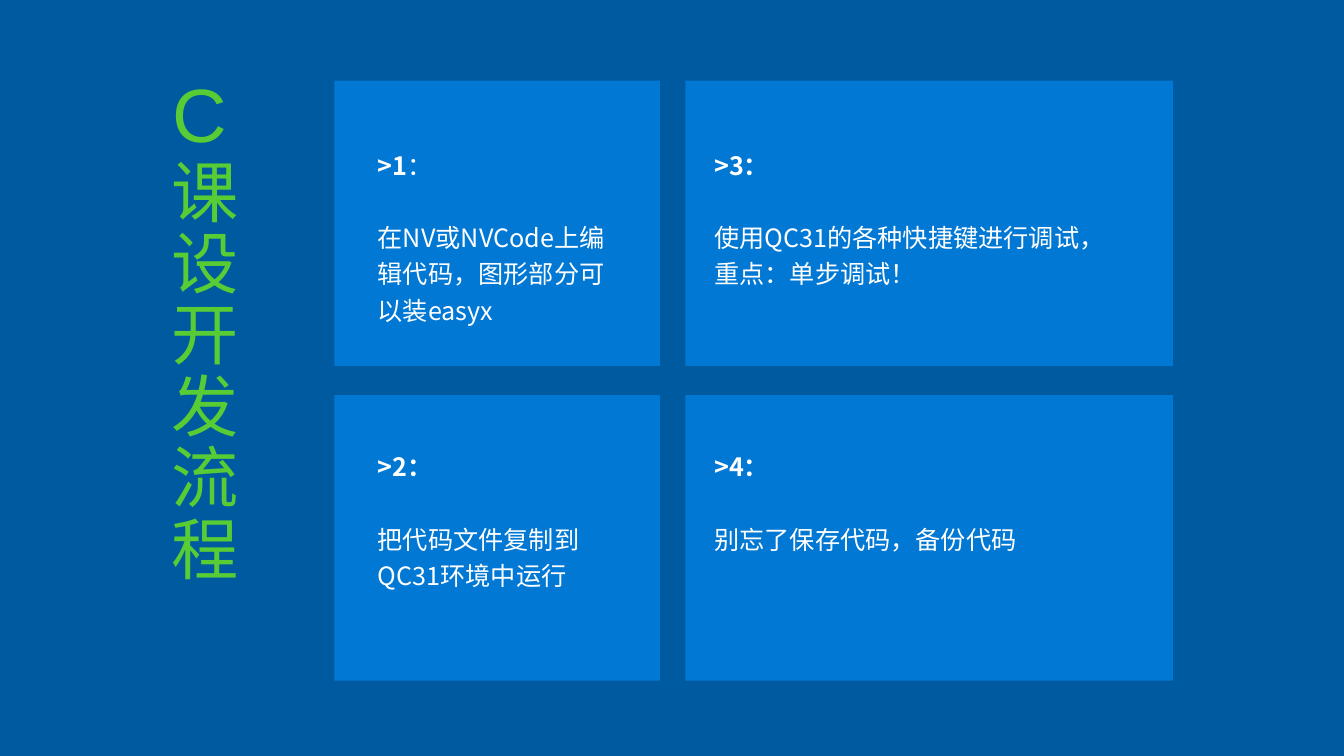
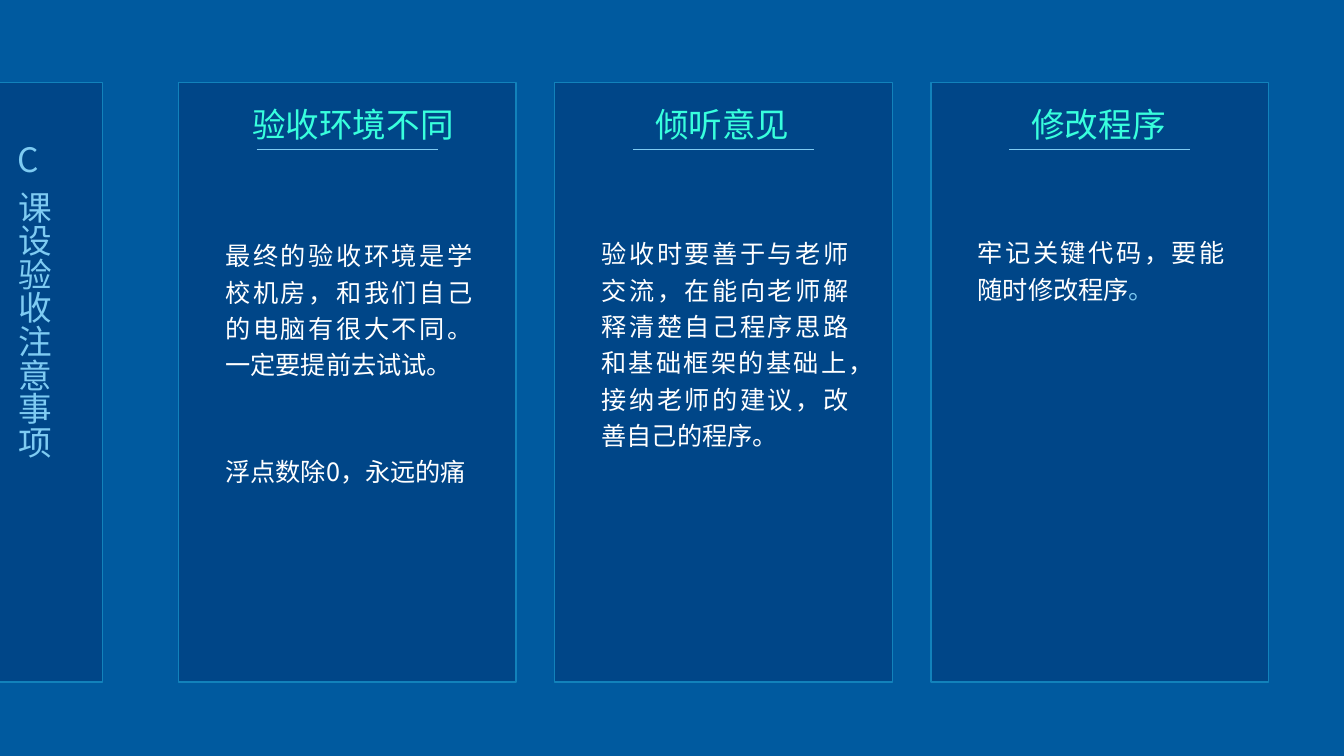
from dataclasses import dataclass
from itertools import product

from lxml.etree import SubElement
from pptx import Presentation
from pptx.dml.color import RGBColor
from pptx.enum.shapes import MSO_CONNECTOR as Link, MSO_SHAPE as Shape
from pptx.enum.text import PP_ALIGN as Align
from pptx.oxml.ns import qn
from pptx.util import Cm, Pt


@dataclass(frozen=True)
class Theme:
    """Colours, fonts and type sizes of the deck."""
    back: str = "005A9F"
    card: str = "0078D4"
    panel: str = "004688"
    edge: str = "1282BB"
    rule: str = "7ECBF2"
    green: str = "57CC34"
    mint: str = "38FFDD"
    sky: str = "7ECBF2"
    white: str = "FFFFFF"
    sans: str = "Noto Sans CJK SC"
    latin: str = "Arial"
    body: int = 18
    head: int = 24
    tall: int = 48
    cap: int = 54


T = Theme()
BODY = {"size": T.body, "name": T.sans, "color": T.white}
BOLD = BODY | {"bold": True}
HEAD = BODY | {"size": T.head, "color": T.mint}
SIDE = HEAD | {"color": T.sky}
CAP = {"size": T.cap, "name": T.latin, "color": T.green}
TALL = CAP | {"size": T.tall}


def paint(font, style):
    """Apply a dict of format values to a font."""
    for key, val in style.items():
        if key == "color":
            font.color.rgb = RGBColor.from_string(val)
        else:
            setattr(font, key, Pt(val) if key == "size" else val)


def write(slide, box, paras, vert=False, track=0, **form):
    """Place a text box; each paragraph is (space before, runs)."""
    frame = slide.shapes.add_textbox(*map(Cm, box)).text_frame
    frame.word_wrap = True
    if vert:
        frame._txBody.bodyPr.set("vert", "eaVert")
    for num, (gap, runs) in enumerate(paras):
        para = frame.add_paragraph() if num else frame.paragraphs[0]
        if gap:
            para.space_before = Pt(gap)
        for key, val in form.items():
            setattr(para, key, val)
        for text, style in runs:
            run = para.add_run()
            run.text = text
            paint(run.font, style)
            props = run._r.get_or_add_rPr()
            SubElement(props, qn("a:ea")).set("typeface", T.sans)
            if track:
                props.set("spc", str(track * 100))


def block(slide, box, fill, edge=None):
    """Place a flat rectangle with an optional outline."""
    rect = slide.shapes.add_shape(Shape.RECTANGLE, *map(Cm, box))
    rect.shadow.inherit = False
    rect.fill.solid()
    rect.fill.fore_color.rgb = RGBColor.from_string(fill)
    if edge:
        rect.line.color.rgb = RGBColor.from_string(edge)
        rect.line.width = Pt(1)
    else:
        rect.line.fill.background()


def rule(slide, left, top, wide):
    """Draw a thin horizontal rule."""
    line = slide.shapes.add_connector(
        Link.STRAIGHT, Cm(left), Cm(top), Cm(left + wide), Cm(top))
    line.line.color.rgb = RGBColor.from_string(T.rule)
    line.line.width = Pt(0.5)
    SubElement(line._element.spPr, qn("a:effectLst"))


def page(deck):
    """Add a blank slide with the shared background."""
    slide = deck.slides.add_slide(deck.slide_layouts[6])
    slide.background.fill.solid()
    slide.background.fill.fore_color.rgb = RGBColor.from_string(T.back)
    return slide


def card(slide, box, pad, head, text):
    """Place a card with a bold label and its text."""
    left, top, wide, high = box
    block(slide, box, T.card)
    across, down, room = pad
    write(slide, (left + across, top + down, room, high - down),
          [(0, head), (26, [(text, BODY)])], line_spacing=1.2)


def flow(deck):
    """Build the slide of four steps."""
    slide = page(deck)
    cols = [(8.43, 8.2, 0.84, 6.7), (17.27, 12.29, 0.48, 10.21)]
    rows = [(2.03, 1.47), (9.96, 1.14)]
    steps = [
        ([(">1", BOLD), ("：", BODY)],
         "在NV或NVCode上编辑代码，图形部分可以装easyx"),
        ([(">2：", BOLD)], "把代码文件复制到QC31环境中运行"),
        ([(">3：", BOLD)], "使用QC31的各种快捷键进行调试，重点：单步调试！"),
        ([(">4：", BOLD)], "别忘了保存代码，备份代码"),
    ]
    for (col, row), step in zip(product(cols, rows), steps):
        left, wide, across, room = col
        top, down = row
        card(slide, (left, top, wide, 7.19), (across, down, room), *step)
    write(slide, (3.68, 3.73, 2.57, 11.53),
          [(0, [("课设开发流程", TALL)])], vert=True, track=3)
    write(slide, (4.09, 1.55, 1.98, 2.57), [(0, [("C", CAP)])])


def panel(slide, box, shift, head, down, paras):
    """Place a panel with a ruled heading and justified text."""
    left, top, wide, high = box
    block(slide, box, T.panel, T.edge)
    rule(slide, left + 1.97, top + 1.68, 4.57)
    write(slide, (left + shift, top + 0.41, wide, 1.27),
          [(0, [(head, HEAD)])], alignment=Align.CENTER)
    write(slide, (left + 0.93, top + down, 6.73, high - down), paras,
          alignment=Align.JUSTIFY, line_spacing=1.2)


def notes(deck):
    """Build the slide of three points and a side title."""
    slide = page(deck)
    top, wide, high = 2.08, 8.51, 15.11
    points = [
        (0.14, "验收环境不同", 3.71, [
            (0, [("最终的验收环境是学校机房，和我们自己的电脑有很大不同。"
                  "一定要提前去试试。", BODY)]),
            (50, [("浮点数除0，永远的痛", BODY)])]),
        (-0.03, "倾听意见", 3.66, [
            (0, [("验收时要善于与老师交流，在能向老师解释清楚自己程序思路"
                  "和基础框架的基础上，接纳老师的建议，改善自己的程序。",
                  BODY)])]),
        (-0.03, "修改程序", 3.63, [
            (0, [("牢记关键代码，要能随时修改程序", BODY),
                 ("。", BODY | {"color": T.sky})])]),
    ]
    for num, point in enumerate(points):
        panel(slide, (4.5 + num * 9.48, top, wide, high), *point)
    block(slide, (-5.92, top, wide, high), T.panel, T.edge)
    write(slide, (-0.05, 4.55, 1.75, 7.42),
          [(0, [("课设验收注意事项", SIDE)])], vert=True,
          alignment=Align.JUSTIFY, line_spacing=1.2)
    write(slide, (0.2, 3.38, 1.75, 1.27), [(0, [("C", SIDE)])])


def main():
    """Build and save the deck."""
    deck = Presentation()
    deck.slide_width, deck.slide_height = Cm(33.87), Cm(19.05)
    flow(deck)
    notes(deck)
    deck.save("out.pptx")


if __name__ == "__main__":
    main()
